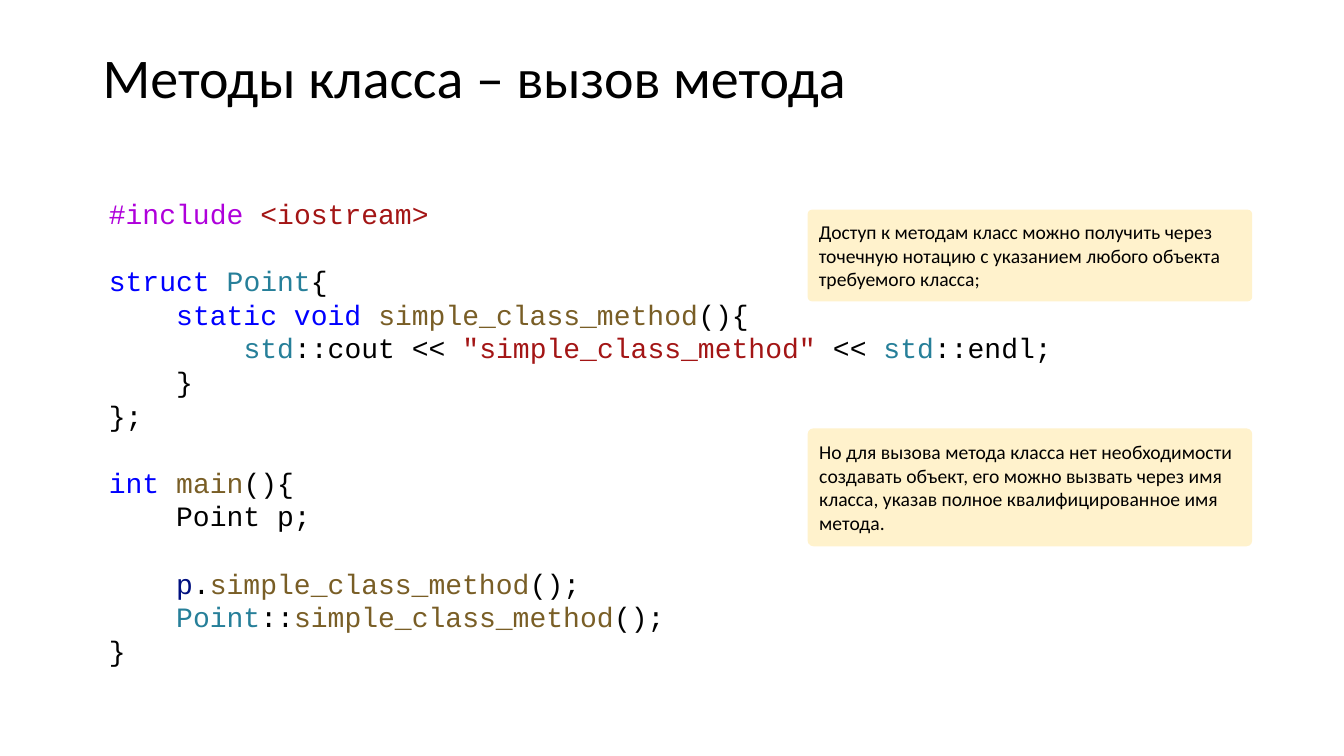
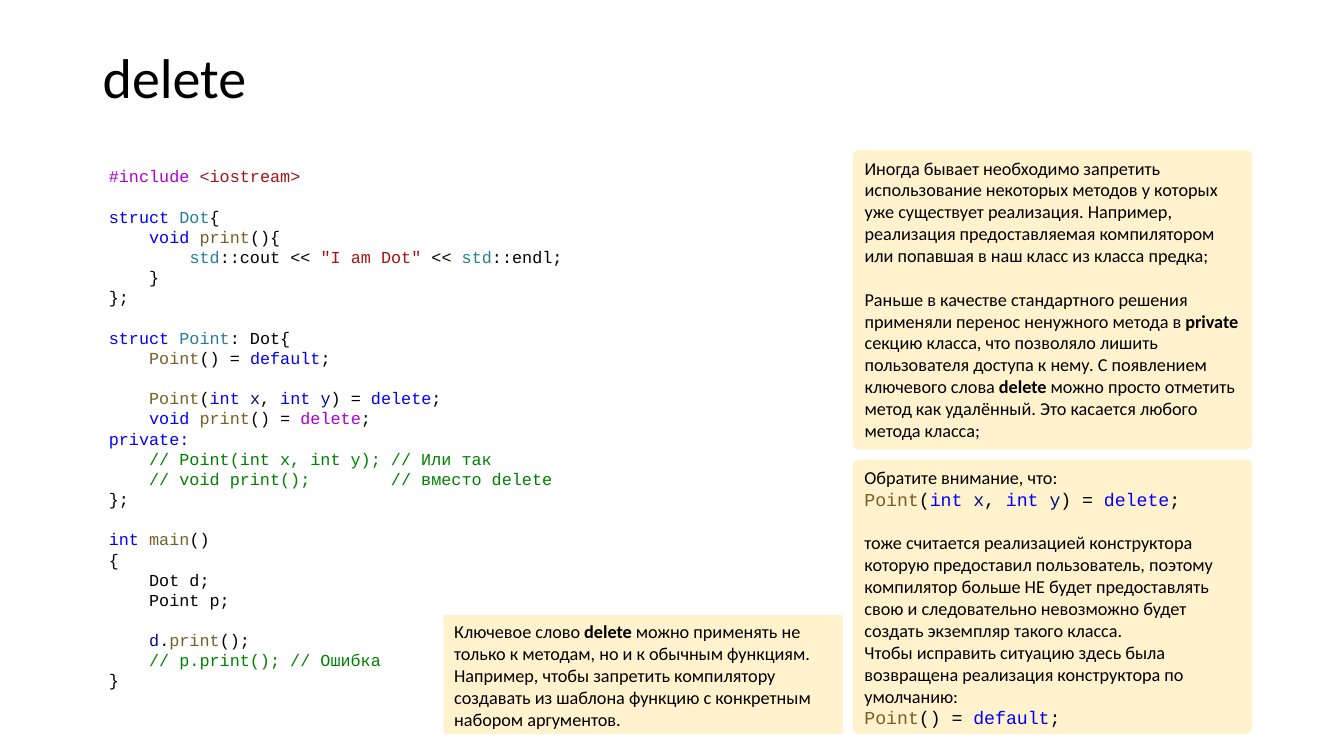
import pptx
import pptx.util
import pptx.dml.color
import pptx.enum.shapes
import pptx.enum.text

Inches = pptx.util.Inches
Pt = pptx.util.Pt

COLORS = {
    "text": "000000",
    "note": "FFF2CC",
    "k": "0000FF",
    "t": "267F99",
    "f": "795E26",
    "s": "A31515",
    "d": "AF00DB",
    "v": "001080",
    "c": "008000",
}

DELETED = "`fPoint`(`kint ``vx`, `kint ``vy`) = `kdelete`;"
DEFAULTED = "`fPoint`() = `kdefault`;"

CALL_CODE = [
    "`d#include ``s<iostream>`",
    "",
    "`kstruct ``tPoint`{",
    "    `kstatic void ``fsimple_class_method`(){",
    '        `tstd`::cout << `s"simple_class_method"` << `tstd`::endl;',
    "    }",
    "};",
    "",
    "`kint ``fmain`(){",
    "    Point p;",
    "",
    "    `vp`.`fsimple_class_method`();",
    "    `tPoint`::`fsimple_class_method`();",
    "}",
]

DELETE_CODE = [
    "`d#include ``s<iostream>`",
    "",
    "`kstruct ``tDot`{",
    "    `kvoid ``fprint`(){",
    '        `tstd`::cout << `s"I am Dot"` << `tstd`::endl;',
    "    }",
    "};",
    "",
    "`kstruct ``tPoint`: Dot{",
    "    " + DEFAULTED,
    "",
    "    " + DELETED,
    "    `kvoid ``fprint`() = `ddelete`;",
    "`kprivate:`",
    "    `c// Point(int x, int y); // Или так`",
    "    `c// void print();        // вместо delete`",
    "};",
    "",
    "`kint ``fmain`()",
    "{",
    "    Dot d;",
    "    Point p;",
    "",
    "    `vd`.`fprint`();",
    "    `c// p.print(); // Ошибка`",
    "}",
]


class Deck:
    FONT = "Calibri"
    MONO = "Courier New"
    LEFT = 0.92
    WIDTH = 11.5
    LEADING = 1.2

    def __init__(self):
        self.prs = pptx.Presentation()
        self.prs.slide_width = Inches(13.33)
        self.prs.slide_height = Inches(7.5)
        self.s = None

    def color(self, key):
        return pptx.dml.color.RGBColor.from_string(COLORS[key])

    def slide(self, title):
        self.s = self.prs.slides.add_slide(self.prs.slide_layouts[6])
        tf = self.text_box(0.4, 0.79)
        tf.vertical_anchor = pptx.enum.text.MSO_ANCHOR.MIDDLE
        self.add_lines(tf, [title], 40)
        tf.paragraphs[0].line_spacing = 0.9

    def text_box(self, top, height):
        sp = self.s.shapes.add_textbox(
            Inches(self.LEFT), Inches(top), Inches(self.WIDTH), Inches(height))
        sp.text_frame.word_wrap = True
        return sp.text_frame

    def add_lines(self, tf, lines, size, mono=(), leading=None):
        p, gap = None, False
        for line in lines:
            if not line:
                gap = True
                continue
            p = tf.add_paragraph() if p else tf.paragraphs[0]
            p.alignment = pptx.enum.text.PP_ALIGN.LEFT
            p.line_spacing = leading
            p.space_before = Pt(size * self.LEADING if gap else 0)
            gap = False
            font = self.MONO if line in mono else self.FONT
            self.add_runs(p, line, size, font)

    def add_runs(self, p, line, size, font):
        for i, part in enumerate(line.split("`")):
            if not part:
                continue
            key = part[0] if i % 2 else "text"
            r = p.add_run()
            r.text = part[1:] if i % 2 else part
            r.font.name = font
            r.font.size = Pt(size)
            r.font.bold = key == "b"
            r.font.color.rgb = self.color("text" if key == "b" else key)

    def code(self, top, lines, size):
        leading = Pt(size * self.LEADING)
        tf = self.text_box(top, len(lines) * leading.inches + 0.1)
        tf.margin_left = Inches(0.16)
        self.add_lines(tf, lines, size, mono=lines, leading=leading)

    def note(self, left, top, width, height, lines, size=13, radius=0.02,
             anchor=pptx.enum.text.MSO_ANCHOR.TOP, mono=()):
        sp = self.s.shapes.add_shape(
            pptx.enum.shapes.MSO_SHAPE.ROUNDED_RECTANGLE,
            Inches(left), Inches(top), Inches(width), Inches(height))
        sp.adjustments[0] = radius
        sp.shadow.inherit = False
        sp.fill.solid()
        sp.fill.fore_color.rgb = self.color("note")
        sp.line.fill.background()
        tf = sp.text_frame
        tf.word_wrap = True
        tf.vertical_anchor = anchor
        self.add_lines(tf, lines, size, mono)


def build_call_slide(deck):
    deck.slide("Методы класса – вызов метода")
    deck.code(1.9, CALL_CODE, 20)
    notes = [
        (2.08, 0.91, "Доступ к методам класс можно получить через точечную нотацию "
                     "с указанием любого объекта требуемого класса;"),
        (4.25, 1.17, "Но для вызова метода класса нет необходимости создавать объект, "
                     "его можно вызвать через имя класса, указав полное "
                     "квалифицированное имя метода."),
    ]
    for top, height, text in notes:
        deck.note(8.01, top, 4.41, height, [text], size=14, radius=0.05,
                  anchor=pptx.enum.text.MSO_ANCHOR.MIDDLE)


def build_delete_slide(deck):
    deck.slide("delete")
    deck.code(1.6, DELETE_CODE, 12)
    width, gap, right = 3.96, 0.1, 8.46
    deck.note(right, 1.49, width, 2.97, [
        "Иногда бывает необходимо запретить использование некоторых методов у которых "
        "уже существует реализация. Например, реализация предоставляемая компилятором "
        "или попавшая в наш класс из класса предка;",
        "",
        "Раньше в качестве стандартного решения применяли перенос ненужного метода в "
        "`bprivate `секцию класса, что позволяло лишить пользователя доступа к нему. "
        "С появлением ключевого слова `bdelete `можно просто отметить метод как "
        "удалённый. Это касается любого метода класса;",
    ])
    deck.note(right, 4.56, width, 2.72, [
        "Обратите внимание, что:",
        DELETED,
        "",
        "тоже считается реализацией конструктора которую предоставил пользователь, "
        "поэтому компилятор больше НЕ будет предоставлять свою и следовательно "
        "невозможно будет создать экземпляр такого класса.",
        "Чтобы исправить ситуацию здесь была возвращена реализация конструктора "
        "по умолчанию:",
        DEFAULTED,
    ], mono=(DELETED, DEFAULTED))
    deck.note(right - gap - width, 6.1, width, 1.18, [
        "Ключевое слово `bdelete `можно применять не только к методам, но и к обычным "
        "функциям. Например, чтобы запретить компилятору создавать из шаблона функцию "
        "с конкретным набором аргументов.",
    ])


def main():
    deck = Deck()
    build_call_slide(deck)
    build_delete_slide(deck)
    deck.prs.save("out.pptx")


if __name__ == "__main__":
    main()
